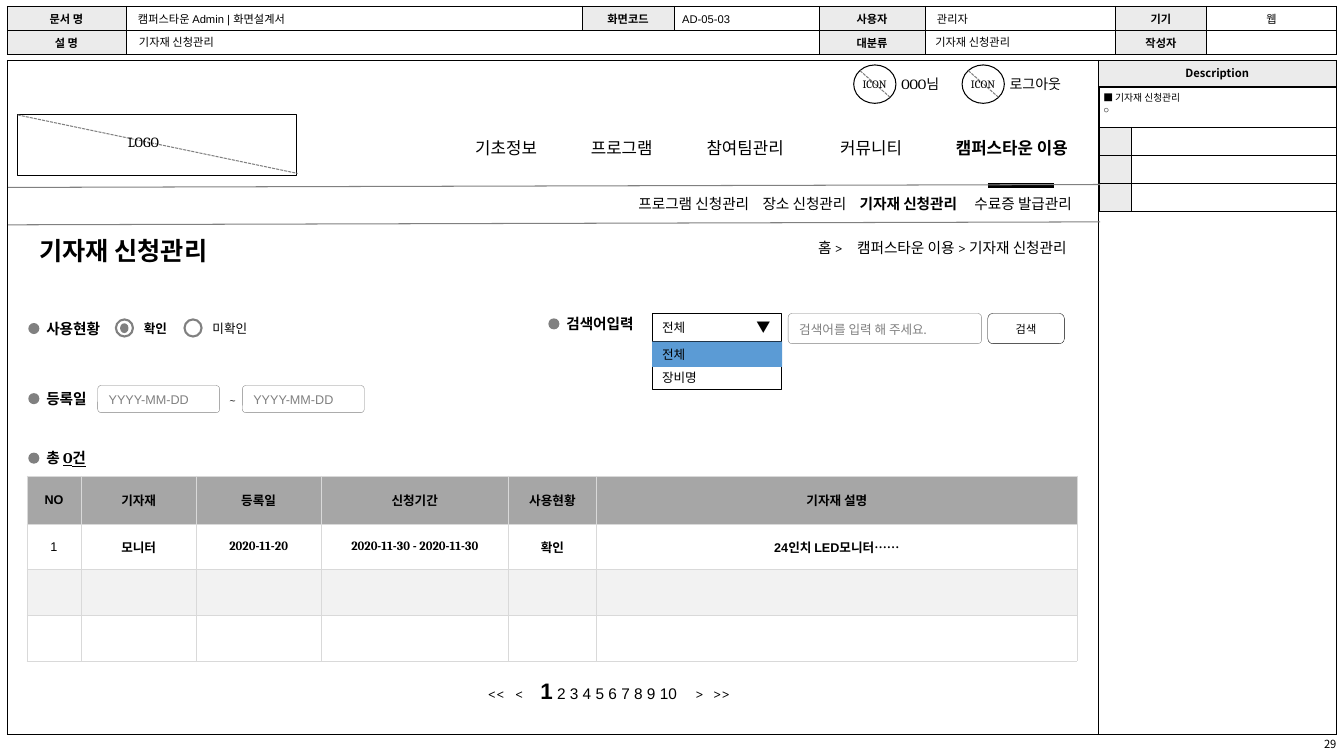
from collections import namedtuple

from lxml import etree
from pptx import Presentation
from pptx import util as u
from pptx.dml.color import RGBColor
from pptx.enum import dml, shapes, text
from pptx.oxml import ns

Pt = u.Pt
Area = namedtuple("Area", "x y w h")
COLORS = {"black": "000000", "white": "FFFFFF", "label": "EBEBEB", "gray": "808080",
          "head": "A6A6A6", "band": "F2F2F2", "rule": "D9D9D9", "select": "5B9BD5"}
SANS = "Noto Sans CJK KR"
ALIGN = {"l": text.PP_ALIGN.LEFT, "c": text.PP_ALIGN.CENTER, "r": text.PP_ALIGN.RIGHT}
TOP, MIDDLE = text.MSO_ANCHOR.TOP, text.MSO_ANCHOR.MIDDLE
SHAPE = shapes.MSO_SHAPE


def rgb(name):
    return RGBColor.from_string(COLORS[name])


def write(frame, words, align="l", tabs=(), **style):
    """Fill a text frame; words is a string or a list of (string, style) runs."""
    runs = [(words, {})] if isinstance(words, str) else words
    paragraph = frame.paragraphs[0]
    if tabs:
        stops = etree.SubElement(paragraph._p.get_or_add_pPr(), ns.qn("a:tabLst"))
        for stop in tabs:
            etree.SubElement(stops, ns.qn("a:tab"), pos=str(int(Pt(stop))), algn="l")
    paragraph.alignment = ALIGN[align]
    for part, changes in runs:
        look = {"size": 9, "font": "Cambria", "color": "black", "bold": False,
                "underline": False, **style, **changes}
        for number, line in enumerate(part.split("\n")):
            if number:
                paragraph = frame.add_paragraph()
                paragraph.alignment = ALIGN[align]
            run = paragraph.add_run()
            run.text = line
            run.font.size = Pt(look["size"])
            run.font.bold, run.font.underline = look["bold"], look["underline"]
            run.font.color.rgb = rgb(look["color"])
            run.font.name = look["font"]
            etree.SubElement(run.font._element, ns.qn("a:ea")).set("typeface", SANS)


def set_frame(frame, inset=(7.2, 3.6), anchor=TOP):
    frame.word_wrap, frame.auto_size = True, text.MSO_AUTO_SIZE.NONE
    frame.margin_left = frame.margin_right = Pt(inset[0])
    frame.margin_top = frame.margin_bottom = Pt(inset[1])
    frame.vertical_anchor = anchor


def label(slide, x, y, w, h, words, inset=(0, 0), anchor=TOP, **style):
    box = slide.shapes.add_textbox(Pt(x), Pt(y), Pt(w), Pt(h))
    set_frame(box.text_frame, inset, anchor)
    write(box.text_frame, words, **style)


def block(slide, kind, x, y, w, h, fill=None, line=None, weight=0.75, words=None,
          inset=(7.2, 3.6), corner=None, **style):
    item = slide.shapes.add_shape(kind, Pt(x), Pt(y), Pt(w), Pt(h))
    item.shadow.inherit = False
    if corner:
        item.adjustments[0] = corner
    for part, color in ((item.fill, fill), (item.line.fill, line)):
        if color:
            part.solid()
            part.fore_color.rgb = rgb(color)
        else:
            part.background()
    if line:
        item.line.width = Pt(weight)
    if words:
        set_frame(item.text_frame, inset, MIDDLE)
        write(item.text_frame, words, **style)


def rule(slide, x1, y1, x2, y2, color="gray", weight=0.75, dashed=False):
    line = slide.shapes.add_connector(shapes.MSO_CONNECTOR.STRAIGHT, Pt(x1), Pt(y1), Pt(x2), Pt(y2))
    line.line.color.rgb, line.line.width = rgb(color), Pt(weight)
    if dashed:
        line.line.dash_style = dml.MSO_LINE.SQUARE_DOT
    etree.SubElement(line._element.spPr, ns.qn("a:effectLst"))


def grid(slide, x, y, cols, rows, border="black"):
    table = slide.shapes.add_table(len(rows), len(cols), Pt(x), Pt(y),
                                   Pt(sum(cols)), Pt(sum(rows))).table
    table.first_row = table.horz_banding = False
    for column, width in zip(table.columns, cols):
        column.width = Pt(width)
    for row, height in zip(table.rows, rows):
        row.height = Pt(height)
    for cell in table.iter_cells():
        fill_cell(cell)
        properties = cell._tc.get_or_add_tcPr()
        for place, side in enumerate(("lnL", "lnR", "lnT", "lnB")):
            edge = etree.Element(ns.qn("a:" + side), w="3175")
            solid = etree.SubElement(edge, ns.qn("a:solidFill"))
            etree.SubElement(solid, ns.qn("a:srgbClr")).set("val", COLORS[border])
            properties.insert(place, edge)
    return table


def fill_cell(cell, words="", fill=None, inset=(2.9, 1), anchor=MIDDLE, **style):
    cell.margin_left = cell.margin_right = Pt(inset[0])
    cell.margin_top = cell.margin_bottom = Pt(inset[1])
    cell.vertical_anchor = anchor
    if fill:
        cell.fill.solid()
        cell.fill.fore_color.rgb = rgb(fill)
    else:
        cell.fill.background()
    if words:
        write(cell.text_frame, words, **style)
    else:
        cell.text_frame.paragraphs[0]._p.get_or_add_endParaRPr().set("sz", "800")


# Document information at the top
def document_header(slide, area):
    cols = (85, 325.6, 66.2, 103.4, 75.6, 136.1, 65, 92.8)
    table = grid(slide, area.x, area.y, cols, [area.h / 2] * 2)
    table.cell(1, 1).merge(table.cell(1, 3))
    rows = (("문서 명", "캠퍼스타운 Admin | 화면설계서", "화면코드", "", "사용자", "관리자", "기기", "웹"),
            ("설 명", "", "", "", "대분류", "", "작성자", ""))
    for r, row in enumerate(rows):
        for c, words in enumerate(row):
            if c % 2 == 0 and words:
                fill_cell(table.cell(r, c), words, "label", size=8, font=SANS, bold=True, align="c")
            else:
                fill_cell(table.cell(r, c), words, "white", inset=(1 if c == 7 else 8.6, 1),
                          size=8, font="Arial", align="c" if c == 7 else "l")
    for left, top, words in ((475.2, 0.6, "AD-05-03"), (87.2, 17.2, "기자재 신청관리"),
                             (656, 17.2, "기자재 신청관리")):
        label(slide, area.x + left, area.y + top, 103, 17, words, inset=(7.2, 3.6),
              size=8, font="Arial")


# Frame of the screen with the description column
def screen_frame(slide, area):
    panel, head = 170.3, 18.7
    frame = grid(slide, area.x, area.y, (area.w - panel, panel), (head, area.h - head))
    frame.cell(0, 0).merge(frame.cell(1, 0))
    fill_cell(frame.cell(0, 1), "Description", "label", size=8, font=SANS, bold=True, align="c")
    notes = grid(slide, area.x + area.w - panel + 0.8, area.y + head + 0.4,
                 (22.6, 146.9), (28.8, 20, 20, 20))
    notes.cell(0, 0).merge(notes.cell(0, 1))
    fill_cell(notes.cell(0, 0), "■ 기자재 신청관리\n○", "white", inset=(2.9, 2.7), anchor=TOP,
              size=7, font="Arial")
    for row in range(1, 4):
        fill_cell(notes.cell(row, 0), fill="label")
        fill_cell(notes.cell(row, 1), fill="white")


# Site header: user links, logo and main menu
def site_header(slide, area):
    x, y = area.x, area.y
    for left, words in ((604, "OOO님"), (681.4, "로그아웃")):
        block(slide, SHAPE.OVAL, x + left, y + 3.9, 30.2, 27.4, line="black")
        rule(slide, x + left + 4.5, y + 8, x + left + 26, y + 27, dashed=True)
        label(slide, x + left - 2, y + 12.9, 34, 12, "ICON", size=8, align="c")
        label(slide, x + left + 34, y + 11.5, 44, 15, words, size=10)
    block(slide, SHAPE.RECTANGLE, x + 6.8, y + 39.2, 199.4, 43.9, line="black")
    rule(slide, x + 6.8, y + 39.6, x + 206.8, y + 81.4, dashed=True)
    label(slide, x + 78.4, y + 49.5, 46, 19.4, "LOGO", inset=(7.2, 3.6), size=10)
    left = x + 326.6
    for words, width in (("기초정보", 67.7), ("프로그램", 67.7), ("참여팀관리", 80.6),
                         ("커뮤니티", 67.7), ("캠퍼스타운 이용", 102.2)):
        label(slide, left, y + 52.5, width, 21.6, words, inset=(7.2, 3.6), size=12,
              bold=words == "캠퍼스타운 이용")
        left += width + 14.9
    rule(slide, x + 699.8, y + 90, x + 746.9, y + 90, "black", 3)
    rule(slide, x, y + area.h, x + area.w, y + area.h - 2.1)


# Second menu level
def submenu(slide, area):
    for left, width, words in ((450.3, 86, "프로그램 신청관리"), (538.9, 66, "장소 신청관리"),
                               (608.3, 79, "기자재 신청관리"), (690.3, 80, "수료증 발급관리")):
        label(slide, area.x + left, area.y + 7.2, width, 16, words, size=10.5,
              bold=words == "기자재 신청관리")
    rule(slide, area.x, area.y + area.h, area.x + area.w, area.y + area.h - 2.1)


# Page title and breadcrumb
def title_bar(slide, area):
    title = slide.shapes.title
    title.left, title.top = Pt(area.x + 15.1), Pt(area.y + 2.6)
    title.width, title.height = Pt(201.6), Pt(28.8)
    set_frame(title.text_frame)
    write(title.text_frame, "기자재 신청관리", size=18, bold=True)
    label(slide, area.x + 578.5, area.y + 8.6, 195, 16, "홈 >\t캠퍼스타운 이용 > 기자재 신청관리",
          size=10.5, tabs=(28,))


def bullet_label(slide, x, y, words):
    block(slide, SHAPE.FLOWCHART_CONNECTOR, x, y, 7.9, 7.9, fill="gray")
    label(slide, x + 5.8, y - 6, 77, 20.2, words, inset=(7.2, 3.6), size=10.5, bold=True)


# Search conditions
def search_filters(slide, area):
    x, y = area.x, area.y
    bullet_label(slide, x + 14.4, y + 12.7, "사용현황")
    for left, words, checked in ((77, "확인", True), (126, "미확인", False)):
        block(slide, SHAPE.FLOWCHART_CONNECTOR, x + left, y + 10.2, 12.2, 12.2, line="gray", weight=1.5)
        if checked:
            block(slide, SHAPE.FLOWCHART_CONNECTOR, x + left + 3, y + 12.9, 6, 7, fill="gray")
        label(slide, x + left + 19.9, y + 11, 29, 14, words, font="Arial", bold=checked)

    bullet_label(slide, x + 14.4, y + 62.8, "등록일")
    for left in (64, 167.3):
        block(slide, SHAPE.ROUNDED_RECTANGLE, x + left, y + 57.4, 87.1, 19.4, "white", "gray", 0.25,
              "YYYY-MM-DD", corner=0.13, font="Arial", color="gray")
    label(slide, x + 150.4, y + 59.2, 20.9, 15, "~", inset=(7.2, 3.6), size=8)

    bullet_label(slide, x + 385.9, y + 9.4, "검색어입력")
    block(slide, SHAPE.RECTANGLE, x + 460, y + 5.9, 92.2, 20.2, line="black", words="전체")
    label(slide, x + 529.4, y + 9.5, 20.2, 12.2, "▼", inset=(5, 0), anchor=MIDDLE, size=10, font=SANS)
    block(slide, SHAPE.RECTANGLE, x + 460, y + 43, 92.2, 17.3, line="black", words="장비명")
    block(slide, SHAPE.RECTANGLE, x + 460, y + 26.1, 92.9, 18, fill="select", words="전체")
    block(slide, SHAPE.ROUNDED_RECTANGLE, x + 557.2, y + 5.9, 138.2, 21.6, "white", "gray", 0.25,
          [("검색어를 입력 해 주세요", {}), (".", {"size": 10.5})], corner=0.13, color="gray")
    block(slide, SHAPE.ROUNDED_RECTANGLE, x + 699.8, y + 5.9, 54.7, 21.6, None, "black", 0.25,
          "검색", inset=(2.9, 2.9), size=8, font="Arial", align="c")


# Result count and list of equipment
def equipment_list(slide, area):
    bullet_label(slide, area.x + 14.4, area.y + 3.3, [("총 ", {}), ("O건", {"underline": True})])
    table = grid(slide, area.x + 13.3, area.y + 19.8, (38.9, 82.1, 89.3, 133.7, 63, 343.4),
                 (34.4, 32.6, 32.6, 32.6), "rule")
    heads = ("NO", "기자재", "등록일", "신청기간", "사용현황", "기자재 설명")
    monitor = ("1", "모니터", "2020-11-20", "2020-11-30 - 2020-11-30", "확인", "24인치 LED모니터……")
    for c, (head, value) in enumerate(zip(heads, monitor)):
        fill_cell(table.cell(0, c), head, "head", bold=True, align="c", font="Cambria" if c else "Arial")
        fill_cell(table.cell(1, c), value, bold=c > 0, align="c",
                  font="Cambria" if c in (2, 3) else "Arial")
        fill_cell(table.cell(2, c), fill="band")


# Page links
def pager(slide, area):
    label(slide, *area, [("<<\t<\t", {}), ("1", {"size": 16, "font": "Arial", "bold": True}),
                         (" 2 3 4 5 6 7 8 9 10", {"font": "Arial"}), ("\t>\t>>", {})],
          inset=(7.2, 3.6), size=11, tabs=(19.5, 37.5, 148, 160.7))


def main():
    deck = Presentation()
    deck.slide_width, deck.slide_height = Pt(960), Pt(540)
    slide = deck.slides.add_slide(deck.slide_layouts[5])
    document_header(slide, Area(5, 4.4, 949.7, 34.4))
    screen_frame(slide, Area(5, 42.8, 949.7, 481.7))
    site_header(slide, Area(5.8, 42.5, 780, 91.4))
    submenu(slide, Area(5.8, 132, 780, 28.6))
    title_bar(slide, Area(5.8, 162, 780, 36))
    search_filters(slide, Area(5.8, 218, 780, 80))
    equipment_list(slide, Area(5.8, 320, 780, 152))
    pager(slide, Area(341.4, 480.2, 200, 26.6))
    label(slide, 784.8, 523, 169.9, 17, "29", inset=(0, 3.6), size=8, font=SANS, align="r")
    deck.save("out.pptx")


if __name__ == "__main__":
    main()
